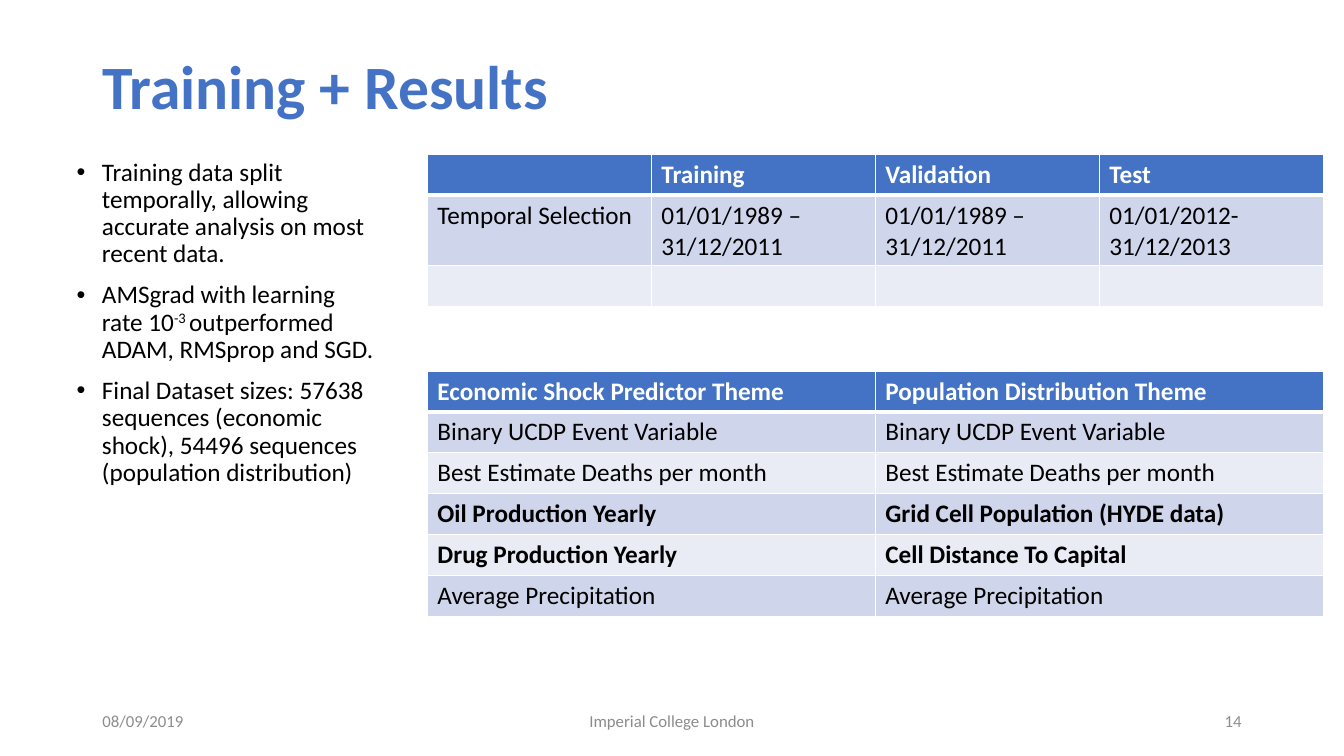
from dataclasses import dataclass

from lxml import etree
from pptx import Presentation
from pptx.dml.color import RGBColor
from pptx.enum.text import MSO_ANCHOR, PP_ALIGN
from pptx.oxml.ns import qn
from pptx.util import Cm, Pt

LEFT, CENTER, RIGHT = PP_ALIGN.LEFT, PP_ALIGN.CENTER, PP_ALIGN.RIGHT
TOP, MIDDLE = MSO_ANCHOR.TOP, MSO_ANCHOR.MIDDLE
FONT = "Calibri"
COLORS = {
    "accent": "4472C4",
    "text": "000000",
    "white": "FFFFFF",
    "footer": "8C8C8C",
    "band_dark": "CFD5EA",
    "band_light": "E9EBF5",
}
TABLE_LEFT, TABLE_WIDTH = 10.77, 22.58


@dataclass
class Label:
    text: str
    left: float
    top: float
    width: float
    height: float
    size: int
    color: str
    bold: bool = False
    alignment: PP_ALIGN = LEFT


@dataclass
class Row:
    texts: tuple[str, ...]
    height: float = 1.03
    bold: bool = False


@dataclass
class Table:
    top: float
    rows: list[Row]


LABELS = [
    Label("Training + Results", 2.33, 0.41, 29.21, 3.68, 44, "accent", bold=True),
    Label("08/09/2019", 2.33, 17.65, 7.62, 1.02, 12, "footer"),
    Label("14", 23.92, 17.65, 7.62, 1.02, 12, "footer", alignment=RIGHT),
    Label("Imperial College London", 11.22, 17.65, 11.43, 1.02, 12, "footer",
          alignment=CENTER),
]

# Each bullet is a list of (text, is_superscript) runs.
BULLETS = [
    [("Training data split temporally, allowing accurate analysis on most recent data.",
      False)],
    [("AMSgrad with learning rate 10", False), ("-3 ", True),
     ("outperformed ADAM, RMSprop and SGD.", False)],
    [("Final Dataset sizes: 57638 sequences (economic shock), "
      "54496 sequences (population distribution)", False)],
]

TABLES = [
    Table(3.89, [
        Row(("", "Training", "Validation", "Test"), bold=True),
        Row(("Temporal Selection", "01/01/1989 – 31/12/2011",
             "01/01/1989 – 31/12/2011", "01/01/2012-31/12/2013"), height=1.78),
        Row(("", "", "", "")),
    ]),
    Table(9.35, [
        Row(("Economic Shock Predictor Theme", "Population Distribution Theme"), bold=True),
        Row(("Binary UCDP Event Variable", "Binary UCDP Event Variable")),
        Row(("Best Estimate Deaths per month", "Best Estimate Deaths per month")),
        Row(("Oil Production Yearly", "Grid Cell Population (HYDE data)"), bold=True),
        Row(("Drug Production Yearly", "Cell Distance To Capital"), bold=True),
        Row(("Average Precipitation", "Average Precipitation")),
    ]),
]


def add_run(paragraph, text: str, size: int, color: str, bold: bool = False):
    run = paragraph.add_run()
    run.text = text
    run.font.name = FONT
    run.font.size = Pt(size)
    run.font.bold = bold
    run.font.color.rgb = RGBColor.from_string(COLORS[color])
    return run


def add_text_frame(slide, left: float, top: float, width: float, height: float, anchor):
    shape = slide.shapes.add_textbox(Cm(left), Cm(top), Cm(width), Cm(height))
    shape.text_frame.word_wrap = True
    shape.text_frame.vertical_anchor = anchor
    return shape.text_frame


def add_label(slide, label: Label) -> None:
    frame = add_text_frame(slide, label.left, label.top, label.width, label.height, MIDDLE)
    paragraph = frame.paragraphs[0]
    paragraph.alignment = label.alignment
    if label.size > 40:
        paragraph.line_spacing = 0.9
    add_run(paragraph, label.text, label.size, label.color, label.bold)


def add_bullets(slide) -> None:
    frame = add_text_frame(slide, 1.68, 3.89, 8.05, 12.09, TOP)
    for index, runs in enumerate(BULLETS):
        paragraph = frame.add_paragraph() if index else frame.paragraphs[0]
        properties = paragraph._p.get_or_add_pPr()
        properties.set("marL", str(Cm(0.64)))
        properties.set("indent", str(-Cm(0.64)))
        etree.SubElement(properties, qn("a:buFont")).set("typeface", "Arial")
        etree.SubElement(properties, qn("a:buChar")).set("char", "•")
        paragraph.line_spacing = 0.9
        if index:
            paragraph.space_before = Pt(10)
        for text, is_superscript in runs:
            run = add_run(paragraph, text, 18, "text")
            if is_superscript:
                run._r.get_or_add_rPr().set("baseline", "30000")


def set_borders(cell, top: int, bottom: int) -> None:
    """Draw white cell borders; the top and bottom widths are in points."""
    properties = cell._tc.get_or_add_tcPr()
    widths = {"a:lnL": 1, "a:lnR": 1, "a:lnT": top, "a:lnB": bottom}
    for position, (tag, width) in enumerate(widths.items()):
        line = etree.Element(qn(tag), w=str(Pt(width)))
        fill = etree.SubElement(line, qn("a:solidFill"))
        etree.SubElement(fill, qn("a:srgbClr")).set("val", COLORS["white"])
        properties.insert(position, line)


def add_table(slide, table: Table) -> None:
    column_count = len(table.rows[0].texts)
    height = sum(row.height for row in table.rows)
    grid = slide.shapes.add_table(len(table.rows), column_count, Cm(TABLE_LEFT),
                                  Cm(table.top), Cm(TABLE_WIDTH), Cm(height)).table
    for column in grid.columns:
        column.width = Cm(TABLE_WIDTH / column_count)
    for row_index, row in enumerate(table.rows):
        grid.rows[row_index].height = Cm(row.height)
        is_header = row_index == 0
        band = "band_dark" if row_index % 2 else "band_light"
        for column_index, text in enumerate(row.texts):
            cell = grid.cell(row_index, column_index)
            cell.fill.solid()
            cell.fill.fore_color.rgb = RGBColor.from_string(
                COLORS["accent" if is_header else band])
            set_borders(cell, top=3 if row_index == 1 else 1, bottom=3 if is_header else 1)
            if text:
                add_run(cell.text_frame.paragraphs[0], text, 18,
                        "white" if is_header else "text", row.bold)


def main() -> None:
    presentation = Presentation()
    presentation.slide_width = Cm(33.87)
    presentation.slide_height = Cm(19.05)
    slide = presentation.slides.add_slide(presentation.slide_layouts[6])
    for label in LABELS:
        add_label(slide, label)
    add_bullets(slide)
    for table in TABLES:
        add_table(slide, table)
    presentation.save("out.pptx")


if __name__ == "__main__":
    main()
